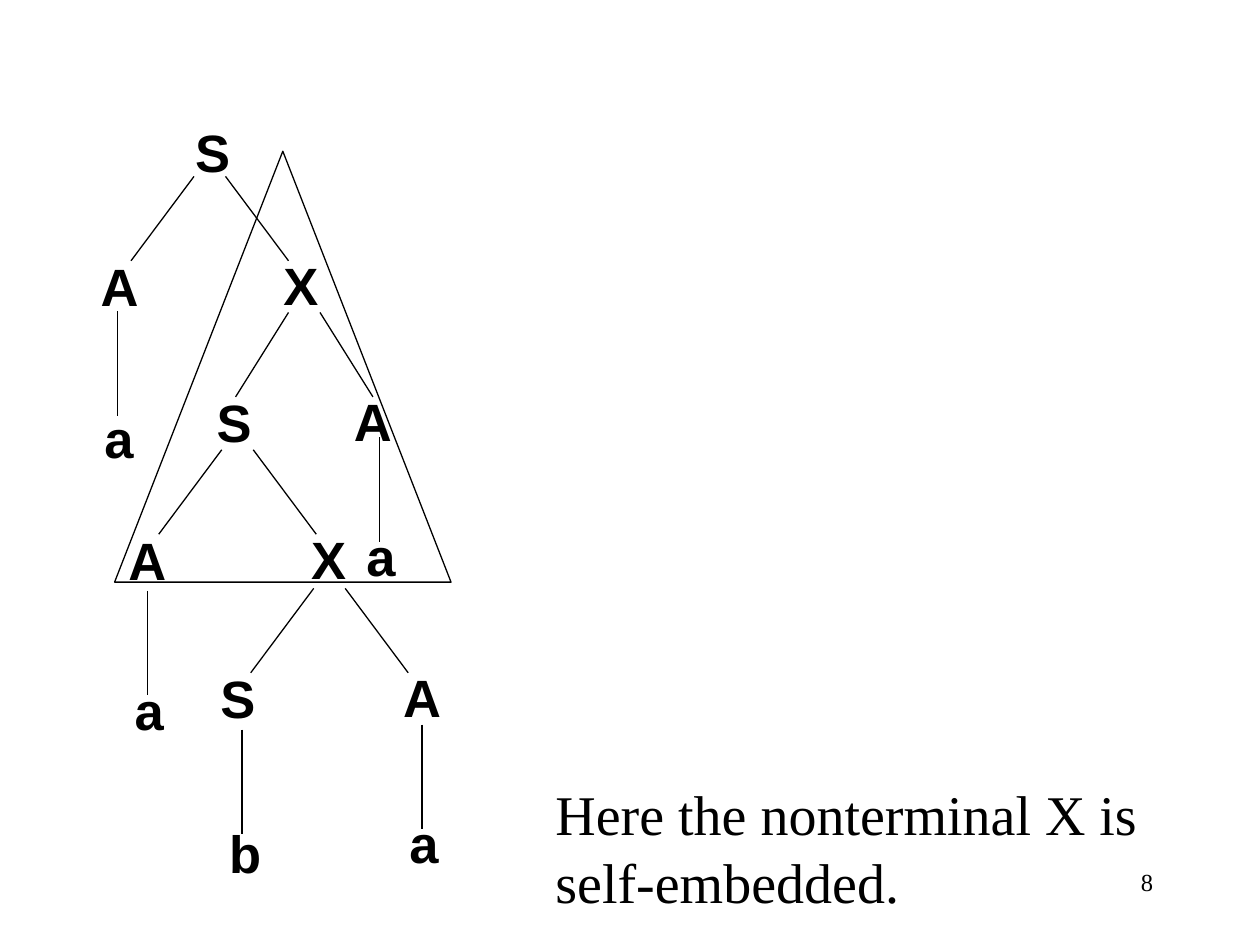
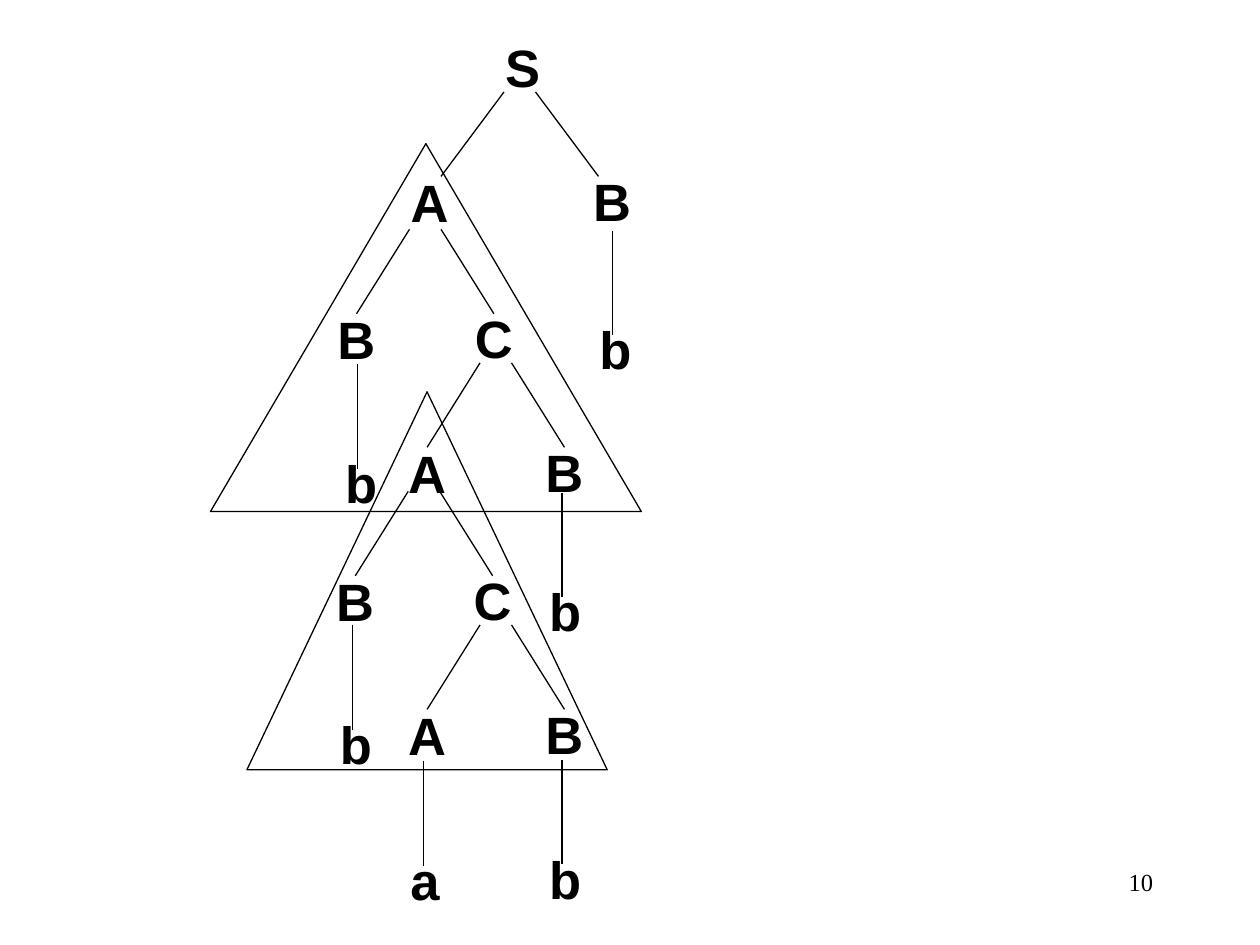
import pptx
import pptx.dml.color
import pptx.enum.shapes
import pptx.enum.text
import pptx.util
from lxml import etree
from pptx.util import Inches

COLORS = {"ink": "000000"}
NODE_FONT, TEXT_FONT = "Arial", "Times New Roman"
LINE_WIDTH = 0.75
FORK_GAP, FORK_DROP = 0.25, 0.67
LEAF_LINE, LEAF_DROP = 0.83, 0.64
# Spread of the branches, then label offsets of the left and right child.
WIDE = (0.5, 0.34, 0.14)
NARROW = (0.42, 0.25, 0.25)


class TreeDeck:
    def __init__(self):
        self.prs = pptx.Presentation()
        self.prs.slide_width, self.prs.slide_height = Inches(10), Inches(7.5)
        self.s = None

    def color(self, name):
        return pptx.dml.color.RGBColor.from_string(COLORS[name])

    def new_slide(self, number):
        self.s = self.prs.slides.add_slide(self.prs.slide_layouts[6])
        self.text(str(number), 7.17, 6.83, 2.08, 0.5, 14,
                  align=pptx.enum.text.PP_ALIGN.RIGHT)

    def text(self, words, x, y, w, h, size, font=TEXT_FONT, bold=False, align=None):
        sp = self.s.shapes.add_textbox(Inches(x), Inches(y), Inches(w), Inches(h))
        tf = sp.text_frame
        tf.word_wrap = True
        p = tf.paragraphs[0]
        p.alignment = align
        r = p.add_run()
        r.text = words
        r.font.size = pptx.util.Pt(size)
        r.font.name = font
        r.font.bold = bold
        r.font.color.rgb = self.color("ink")

    def node(self, symbol, x, y, w=0.92):
        self.text(symbol, x, y, w, 0.6, 30, NODE_FONT, bold=True)

    def outline(self, shape):
        shape.line.color.rgb = self.color("ink")
        shape.line.width = pptx.util.Pt(LINE_WIDTH)

    def line(self, x1, y1, x2, y2):
        c = self.s.shapes.add_connector(
            pptx.enum.shapes.MSO_CONNECTOR.STRAIGHT,
            Inches(x1), Inches(y1), Inches(x2), Inches(y2))
        self.outline(c)
        sp_pr = c._element.spPr
        etree.SubElement(sp_pr, pptx.oxml.ns.qn("a:effectLst"))

    def fork(self, x, y, style, left, right):
        """Draw two branches, the left one starting at x, y, and their nodes."""
        spread, left_offset, right_offset = style
        bottom = y + FORK_DROP
        left_end, right_end = x - spread, x + FORK_GAP + spread
        self.line(x, y, left_end, bottom)
        self.line(x + FORK_GAP, y, right_end, bottom)
        self.node(left, left_end - left_offset, bottom - 0.1)
        self.node(right, right_end - right_offset, bottom - 0.11)

    def leaf(self, symbol, x, y, drop=LEAF_DROP):
        """Draw a vertical branch down from x, y to a terminal symbol."""
        self.line(x, y, x, y + LEAF_LINE)
        self.node(symbol, x - 0.2, y + drop, 1.33)

    def triangle(self, x, y, w, h):
        sp = self.s.shapes.add_shape(
            pptx.enum.shapes.MSO_SHAPE.ISOSCELES_TRIANGLE,
            Inches(x), Inches(y), Inches(w), Inches(h))
        sp.shadow.inherit = False
        sp.fill.background()
        self.outline(sp)

    def tree(self, root, forks, leaves, triangles):
        self.node("S", *root)
        for fork in forks:
            self.fork(*fork)
        for leaf in leaves:
            self.leaf(*leaf)
        for triangle in triangles:
            self.triangle(*triangle)


def main():
    deck = TreeDeck()

    deck.new_slide(8)
    deck.tree(
        root=(1.45, 0.9),
        forks=[(1.54, 1.4, WIDE, "A", "X"),
               (2.29, 2.48, NARROW, "S", "A"),
               (1.76, 3.57, WIDE, "A", "X"),
               (2.49, 4.67, WIDE, "S", "A")],
        leaves=[("a", 0.93, 2.47, 0.7),
                ("a", 3.01, 3.47),
                ("a", 1.17, 4.69),
                ("a", 3.35, 5.75),
                ("b", 1.92, 5.79, 0.68)],
        triangles=[(0.91, 1.2, 2.67, 3.42)])
    deck.text("Here the nonterminal X is self-embedded.", 4.31, 6.14, 5.17, 1.17, 32)

    deck.new_slide(10)
    deck.tree(
        root=(3.91, 0.23),
        forks=[(4, 0.73, WIDE, "A", "B"),
               (3.25, 1.82, NARROW, "B", "C"),
               (3.81, 2.88, NARROW, "A", "B"),
               (3.24, 3.9, NARROW, "B", "C"),
               (3.81, 4.96, NARROW, "A", "B")],
        leaves=[("b", 2.84, 2.89),
                ("b", 4.86, 1.83),
                ("b", 4.46, 3.91),
                ("b", 2.8, 4.96),
                ("a", 3.36, 6.04),
                ("b", 4.46, 6.03)],
        triangles=[(1.67, 1.14, 3.42, 2.92), (1.96, 3.11, 2.86, 3)])

    deck.prs.save("out.pptx")


if __name__ == "__main__":
    main()
